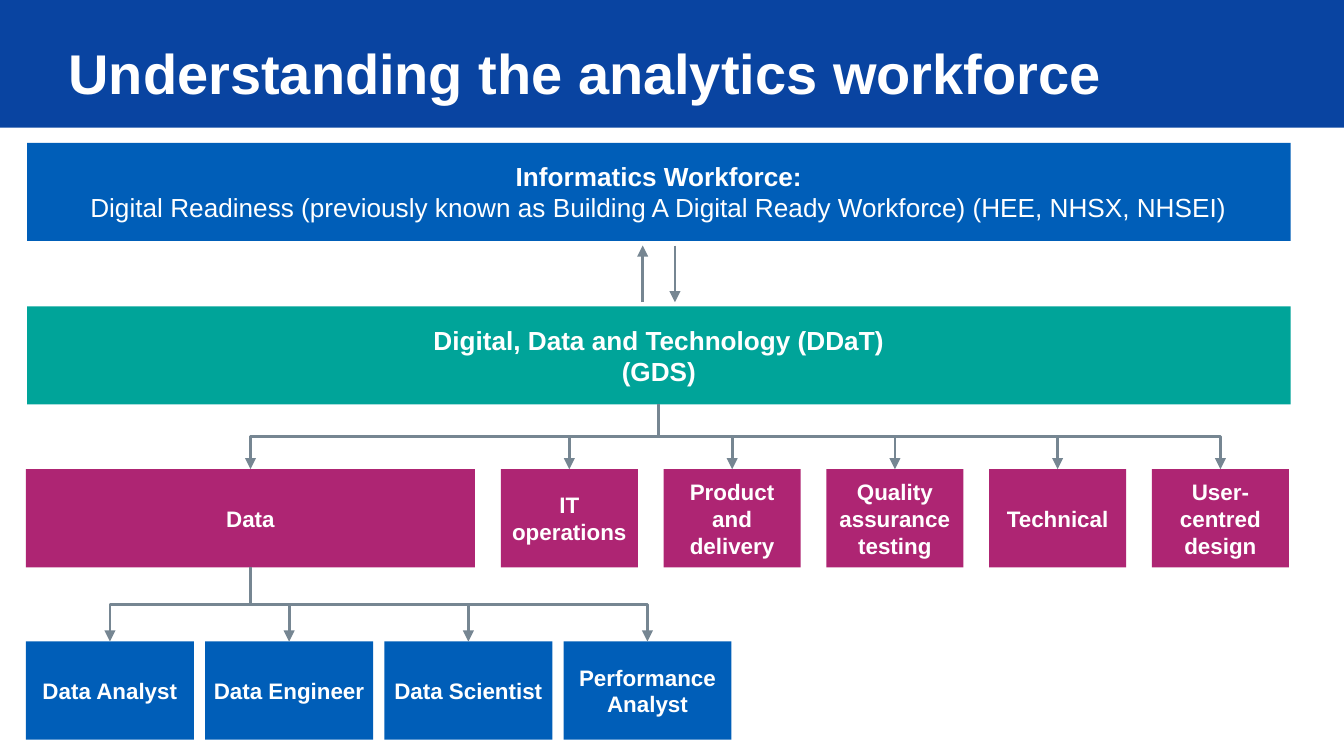
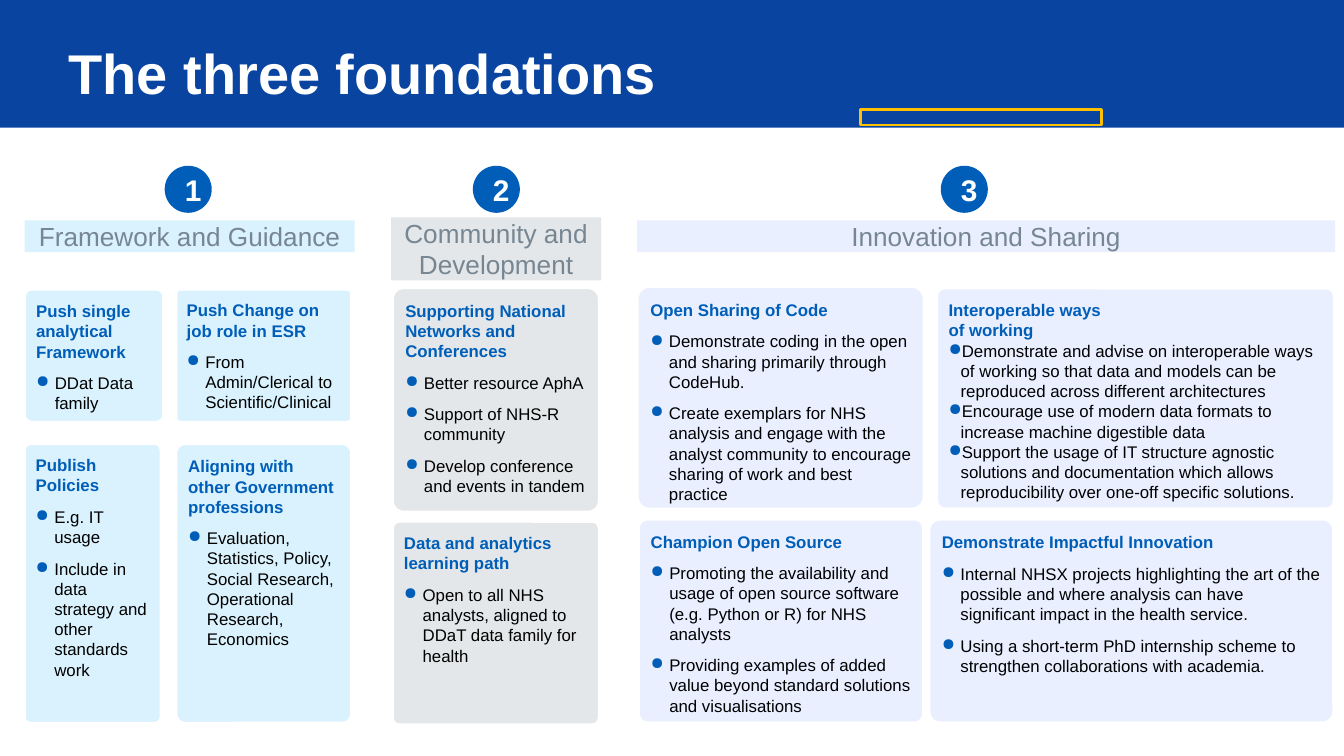
import dataclasses

import lxml.etree
import pptx
import pptx.dml.color
import pptx.enum.shapes
import pptx.enum.text
import pptx.oxml.ns
import pptx.util

Pt = pptx.util.Pt
SHAPE = pptx.enum.shapes.MSO_SHAPE
CONNECTOR = pptx.enum.shapes.MSO_CONNECTOR
ANCHOR = pptx.enum.text.MSO_ANCHOR
ALIGN = pptx.enum.text.PP_ALIGN


@dataclasses.dataclass(frozen=True)
class Theme:
    """Colours and type sizes of the presentation."""
    font: str = "Arial"
    navy: str = "0944A1"
    blue: str = "005EB8"
    teal: str = "00A499"
    magenta: str = "AE2573"
    grey: str = "768692"
    white: str = "FFFFFF"
    black: str = "000000"
    amber: str = "FFC000"
    pale_blue: str = "DAF2FD"
    pale_grey: str = "E4E7E9"
    pale_violet: str = "E9EFFF"
    title: int = 30
    badge: int = 16
    heading: int = 14
    label: int = 12
    body: int = 9


@dataclasses.dataclass(frozen=True)
class Box:
    """A rectangle in points."""
    left: float
    top: float
    width: float
    height: float

    @property
    def center(self):
        """Return the horizontal middle."""
        return self.left + self.width / 2

    @property
    def bottom(self):
        """Return the lower edge."""
        return self.top + self.height

    def inner(self, left, top, width, height):
        """Return a box whose position is relative to this one."""
        return Box(self.left + left, self.top + top, width, height)

    def lengths(self):
        """Return the four lengths for python-pptx."""
        return [Pt(value) for value in dataclasses.astuple(self)]


THEME = Theme()
PAGE = Box(0, 0, 720, 405)
BAND_HEIGHT = 68.4


def rgb(value):
    """Turn a hex string into a colour."""
    return pptx.dml.color.RGBColor.from_string(value)


def add_bullet(paragraph, indent):
    """Give a paragraph a round blue bullet with a hanging indent."""
    properties = paragraph._p.get_or_add_pPr()
    properties.set("marL", str(Pt(indent)))
    properties.set("indent", str(-Pt(indent)))
    color = lxml.etree.SubElement(properties, pptx.oxml.ns.qn("a:buClr"))
    lxml.etree.SubElement(color, pptx.oxml.ns.qn("a:srgbClr")).set("val", THEME.blue)
    lxml.etree.SubElement(properties, pptx.oxml.ns.qn("a:buChar")).set("char", "●")


def write_text(frame, text, *, size, color=THEME.white, bold=False,
               align=ALIGN.LEFT, before=0, bullet=None):
    """Append one formatted paragraph for each line of the text."""
    for line in text.split("\n"):
        paragraph = frame.paragraphs[-1]
        if paragraph.runs:
            paragraph = frame.add_paragraph()
        paragraph.alignment = align
        if before:
            paragraph.space_before = Pt(before)
        if bullet:
            add_bullet(paragraph, bullet)
        run = paragraph.add_run()
        run.text = line
        run.font.name = THEME.font
        run.font.size = Pt(size)
        run.font.bold = bold
        run.font.color.rgb = rgb(color)


def set_frame(frame, anchor, horizontal, vertical):
    """Set wrapping, anchor and insets of a text frame."""
    frame.word_wrap = True
    frame.vertical_anchor = anchor
    frame.margin_left = frame.margin_right = Pt(horizontal)
    frame.margin_top = frame.margin_bottom = Pt(vertical)
    return frame


def draw_shape(slide, kind, box, fill=None, line=None, weight=0, corner=None):
    """Add a flat preset shape and return it."""
    shape = slide.shapes.add_shape(kind, *box.lengths())
    shape.shadow.inherit = False
    if fill:
        shape.fill.solid()
        shape.fill.fore_color.rgb = rgb(fill)
    else:
        shape.fill.background()
    if line:
        shape.line.color.rgb = rgb(line)
        shape.line.width = Pt(weight)
    else:
        shape.line.fill.background()
    if corner is not None:
        shape.adjustments[0] = corner
    return shape


def draw_label(slide, box, fill, text, size, detail=None):
    """Draw a filled rectangle with a centred bold label."""
    shape = draw_shape(slide, SHAPE.RECTANGLE, box, fill)
    frame = set_frame(shape.text_frame, ANCHOR.MIDDLE, 4.25, 4.25)
    write_text(frame, text, size=size, bold=True, align=ALIGN.CENTER)
    if detail:
        write_text(frame, detail, size=size, align=ALIGN.CENTER)


def draw_arrow(slide, kind, start, end):
    """Add a grey connector that ends in a triangle."""
    connector = slide.shapes.add_connector(kind, *[Pt(value) for value in (*start, *end)])
    connector.line.color.rgb = rgb(THEME.grey)
    connector.line.width = Pt(1.5)
    line = connector.line._get_or_add_ln()
    lxml.etree.SubElement(line, pptx.oxml.ns.qn("a:tailEnd")).set("type", "triangle")
    lxml.etree.SubElement(connector._element.spPr, pptx.oxml.ns.qn("a:effectLst"))
    return connector


def draw_branches(slide, parent, children):
    """Link the bottom of a parent box to the top of each child."""
    for child in children:
        drop = child.top - parent.bottom
        shift = child.center - parent.center
        left = (parent.center + child.center - drop) / 2
        top = (parent.bottom + child.top - abs(shift)) / 2
        connector = draw_arrow(slide, CONNECTOR.ELBOW, (left, top),
                               (left + drop, top + abs(shift)))
        transform = connector._element.spPr.xfrm
        transform.set("rot", str((270 if shift > 0 else 90) * 60000))
        if shift > 0:
            transform.set("flipH", "1")


def add_slide(presentation, title):
    """Add a slide with the navy title band and white body."""
    slide = presentation.slides.add_slide(presentation.slide_layouts[6])
    slide.background.fill.solid()
    slide.background.fill.fore_color.rgb = rgb(THEME.navy)
    body = PAGE.inner(0, BAND_HEIGHT, PAGE.width, PAGE.height - BAND_HEIGHT)
    draw_shape(slide, SHAPE.RECTANGLE, body, THEME.white)
    text_box = slide.shapes.add_textbox(*PAGE.inner(36.7, 20.9, 601.2, 41.8).lengths())
    frame = set_frame(text_box.text_frame, ANCHOR.TOP, 0, 0)
    write_text(frame, title, size=THEME.title, bold=True)
    return slide


def draw_workforce(slide, area):
    """Draw the workforce hierarchy from the top band to the data roles."""
    height = 52.6
    informatics = area.inner(0.7, 0, 676.8, height)
    digital = area.inner(0.7, 87.6, 676.8, height)
    draw_label(slide, informatics, THEME.blue, "Informatics Workforce:", THEME.heading,
               "Digital Readiness (previously known as Building A Digital Ready "
               "Workforce) (HEE, NHSX, NHSEI)")
    draw_label(slide, digital, THEME.teal,
               "Digital, Data and Technology (DDaT)\n(GDS)", THEME.heading)
    upper, lower = informatics.bottom + 2.5, digital.top - 2.2
    for x, start, end in ((361.6, upper, lower), (344.3, lower, upper)):
        draw_arrow(slide, CONNECTOR.STRAIGHT, (x, start), (x, end))

    data = area.inner(0, 174.9, 240.6, height)
    draw_label(slide, data, THEME.magenta, "Data", THEME.label)
    professions = ("IT operations", "Product and\ndelivery", "Quality assurance\ntesting",
                   "Technical", "User-centred\ndesign")
    profession_boxes = [area.inner(254.4 + 87.2 * index, 174.9, 73.4, height)
                        for index in range(len(professions))]
    roles = ("Data Analyst", "Data Engineer", "Data Scientist", "Performance Analyst")
    role_boxes = [area.inner(96 * index, 267.2, 90, height) for index in range(len(roles))]
    for texts, boxes, fill in ((professions, profession_boxes, THEME.magenta),
                               (roles, role_boxes, THEME.blue)):
        for text, box in zip(texts, boxes):
            draw_label(slide, box, fill, text, THEME.label)
    draw_branches(slide, data, role_boxes)
    draw_branches(slide, digital, [data, *profession_boxes])


def draw_card(slide, box, fill, corner, title, points, tight=False):
    """Draw a rounded card with a blue title and bullets."""
    shape = draw_shape(slide, SHAPE.ROUNDED_RECTANGLE, box, fill, THEME.white, 3, corner)
    frame = set_frame(shape.text_frame, ANCHOR.TOP, 5.67, 5.67)
    write_text(frame, title, size=THEME.body, color=THEME.blue, bold=True)
    for point in points:
        write_text(frame, point, size=THEME.body, color=THEME.black,
                   before=0 if tight else 6, bullet=6.5 if tight else 10)


def draw_foundation(slide, column, number, badge_left, title, heading, fill, cards):
    """Draw one numbered foundation with its heading and cards."""
    heading_top, heading_height = heading
    bar = draw_shape(slide, SHAPE.RECTANGLE,
                     column.inner(0, heading_top, column.width, heading_height), fill)
    write_text(set_frame(bar.text_frame, ANCHOR.TOP, 0, 0), title,
               size=THEME.heading, color=THEME.grey, align=ALIGN.CENTER)
    badge = draw_shape(slide, SHAPE.OVAL, column.inner(badge_left, 0, 25.2, 25.2), THEME.blue)
    write_text(set_frame(badge.text_frame, ANCHOR.MIDDLE, 7.2, 3.6), str(number),
               size=THEME.badge, bold=True, align=ALIGN.CENTER)
    for place, *content in cards:
        draw_card(slide, column.inner(*place), fill, *content)


FOUNDATIONS = (
    (Box(13.2, 88.8, 176.8, 300), 75, "Framework and Guidance", (29.3, 17), THEME.pale_blue, (
        ((-0.8, 148.2, 74.6, 151.2), 0.05, "Publish Policies",
         ("E.g. IT usage", "Include in data strategy and other standards work")),
        ((-0.8, 65.4, 76, 72.7), 0.06, "Push single analytical Framework",
         ("DDat Data family",)),
        ((80.3, 65.4, 95.6, 72.7), 0.04, "Push Change on job role in ESR",
         ("From Admin/Clerical to Scientific/Clinical",)),
        ((80.3, 148.2, 95.6, 151.2), 0.06, "Aligning with other Government professions",
         ("Evaluation, Statistics, Policy, Social Research, Operational Research, Economics",)),
    )),
    (Box(209.5, 88.8, 112.5, 300), 43.8, "Community and Development", (27.7, 33.8),
     THEME.pale_grey, (
        ((0, 64.6, 112.3, 121.7), 0.06, "Supporting National Networks and Conferences",
         ("Better resource AphA", "Support of NHS-R community",
          "Develop conference and events in tandem")),
        ((0, 189.8, 112.3, 110.5), 0.04, "Data and analytics learning path",
         ("Open to all NHS analysts, aligned to DDaT data family for health",)),
    )),
    (Box(341.3, 88.8, 374, 300), 162.7, "Innovation and Sharing", (29.3, 17),
     THEME.pale_violet, (
        ((0, 188.6, 154.2, 110.6), 0.05, "Champion Open Source",
         ("Promoting the availability and usage of open source software "
          "(e.g. Python or R) for NHS analysts",
          "Providing examples of added value beyond standard solutions and visualisations")),
        ((-0.7, 64, 155.2, 120.7), 0.06, "Open Sharing of Code",
         ("Demonstrate coding in the open and sharing primarily through CodeHub.",
          "Create exemplars for NHS analysis and engage with the analyst community to "
          "encourage sharing of work and best practice")),
        ((159.8, 64.8, 214.4, 119.7), 0.04, "Interoperable ways\nof working",
         ("Demonstrate and advise on interoperable ways of working so that data and models "
          "can be reproduced across different architectures",
          "Encourage use of modern data formats to increase machine digestible data",
          "Support the usage of IT structure agnostic solutions and documentation which "
          "allows reproducibility over one-off specific solutions."), True),
        ((155.6, 188.6, 218.3, 110.6), 0.06, "Demonstrate Impactful Innovation",
         ("Internal NHSX projects highlighting the art of the possible and where analysis "
          "can have significant impact in the health service.",
          "Using a short-term PhD internship scheme to strengthen collaborations "
          "with academia.")),
    )),
)


def main():
    """Build and save the presentation."""
    presentation = pptx.Presentation()
    presentation.slide_width = Pt(PAGE.width)
    presentation.slide_height = Pt(PAGE.height)
    workforce = add_slide(presentation, "Understanding the analytics workforce")
    draw_workforce(workforce, PAGE.inner(13.9, 76.5, 677.5, 319.8))
    foundations = add_slide(presentation, "The three foundations")
    for number, (column, *content) in enumerate(FOUNDATIONS, 1):
        draw_foundation(foundations, column, number, *content)
    draw_shape(foundations, SHAPE.RECTANGLE, PAGE.inner(460.8, 58.5, 129.2, 8.5),
               line=THEME.amber, weight=1.5)
    presentation.save("out.pptx")


if __name__ == "__main__":
    main()
